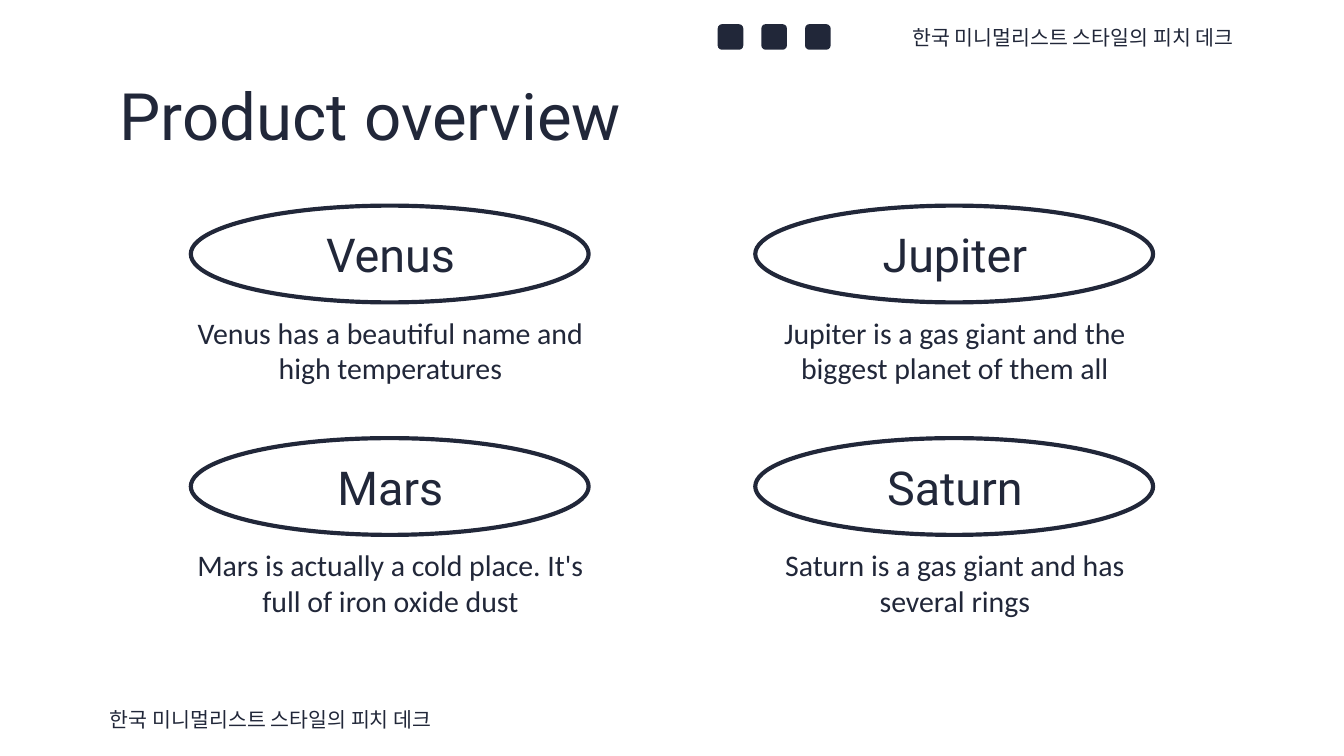
import pptx
import pptx.util
import pptx.dml.color
import pptx.enum.shapes
import pptx.enum.text

Inches = pptx.util.Inches
SHAPE = pptx.enum.shapes.MSO_SHAPE
ALIGN = pptx.enum.text.PP_ALIGN
COLORS = {"ink": "212739"}
INK = pptx.dml.color.RGBColor.from_string(COLORS["ink"])


def write(sp, text, font="Roboto", size=16, align=ALIGN.LEFT):
    tf = sp.text_frame
    tf.word_wrap = True
    tf.auto_size = pptx.enum.text.MSO_AUTO_SIZE.NONE
    tf.vertical_anchor = pptx.enum.text.MSO_ANCHOR.MIDDLE
    tf.margin_left = tf.margin_right = tf.margin_top = tf.margin_bottom = Inches(0.1)
    p = tf.paragraphs[0]
    p.alignment = align
    r = p.add_run()
    r.text = text
    r.font.name = font
    r.font.size = pptx.util.Pt(size)
    r.font.color.rgb = INK


def box(*lengths):
    """Turn left, top, width and height in inches into slide units."""
    return [Inches(n) for n in lengths]


prs = pptx.Presentation()
prs.slide_width = Inches(10)
prs.slide_height = prs.slide_width * 9 // 16
s = prs.slides.add_slide(prs.slide_layouts[5])

# Planets on a grid of two columns and two rows
LEFT, TOP, COLUMN, ROW = 1.42, 1.53, 4.2, 1.73
planets = [
    ("Venus", "Venus has a beautiful name and high temperatures"),
    ("Jupiter", "Jupiter is a gas giant and the biggest planet of them all"),
    ("Mars", "Mars is actually a cold place. It's full of iron oxide dust"),
    ("Saturn", "Saturn is a gas giant and has several rings"),
]

title = s.shapes.title
title.left, title.top, title.width, title.height = box(0.79, 0.59, 8.43, 0.52)
write(title, "Product overview", size=35)

for i, (name, description) in enumerate(planets):
    x = LEFT + i % 2 * COLUMN
    y = TOP + i // 2 * ROW
    oval = s.shapes.add_shape(SHAPE.OVAL, *box(x, y, 2.96, 0.72))
    oval.shadow.inherit = False
    oval.fill.background()
    oval.line.color.rgb = INK
    oval.line.width = pptx.util.Pt(2.25)
    heading = s.shapes.add_textbox(*box(x - 0.09, y + 0.07, 3.15, 0.58))
    write(heading, name, size=25, align=ALIGN.CENTER)
    body = s.shapes.add_textbox(*box(x - 0.09, y + 0.71, 3.15, 0.73))
    write(body, description, font="Calibri", align=ALIGN.CENTER)

# Plain squares for the social icons, evenly spread
for i in range(3):
    icon = s.shapes.add_shape(SHAPE.ROUNDED_RECTANGLE, *box(5.34 + 0.65 * i / 2, 0.18, 0.19, 0.19))
    icon.shadow.inherit = False
    icon.fill.solid()
    icon.fill.fore_color.rgb = INK
    icon.line.fill.background()

# The deck's name in header and footer
for x, y, align in [(6.35, 0.12, ALIGN.RIGHT), (0.72, 5.19, ALIGN.LEFT)]:
    label = s.shapes.add_textbox(*box(x, y, 2.93, 0.32))
    write(label, "한국 미니멀리스트 스타일의 피치 데크", font="League Spartan", size=11, align=align)

prs.save("out.pptx")
